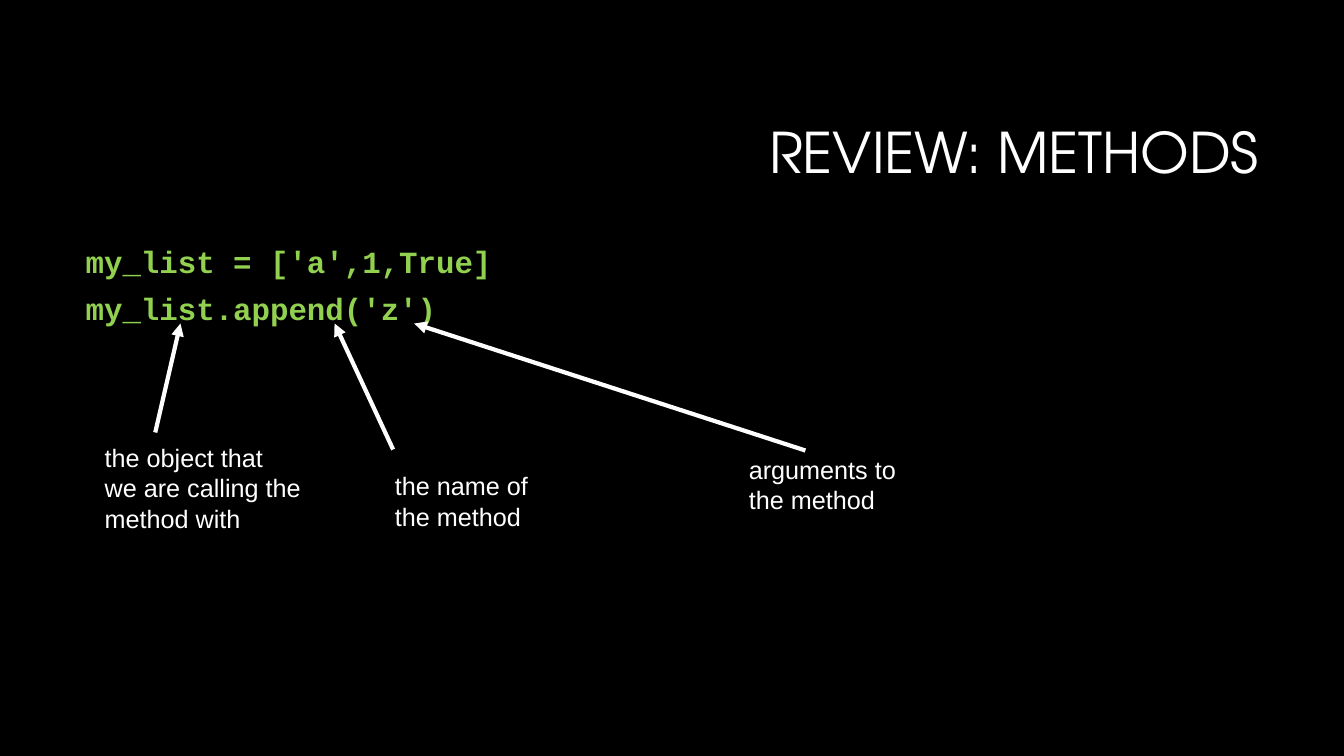
from lxml.etree import SubElement
from pptx import Presentation
from pptx.dml.color import RGBColor
from pptx.enum.shapes import MSO_CONNECTOR
from pptx.enum.text import MSO_ANCHOR, MSO_AUTO_SIZE, PP_ALIGN
from pptx.oxml.ns import qn
from pptx.util import Pt

BLACK = RGBColor(0x00, 0x00, 0x00)
WHITE = RGBColor(0xFF, 0xFF, 0xFF)
GREEN = RGBColor(0x92, 0xD0, 0x50)

CODE_LINES = ["my_list = ['a',1,True]", "my_list.append('z')"]
ARROW_TIP_Y = 231.1

# Label text, label box (left, top, width, height), arrow start, arrow tip x
ANNOTATIONS = [
    ("the object that\nwe are calling the\nmethod with",
     (67.7, 312.5, 156.2, 72.7), (110.9, 308.9), 128.9),
    ("the name of\nthe method",
     (275, 332.6, 115.2, 51.1), (280.8, 321.1), 239),
    ("arguments to\nthe method",
     (527.8, 321.1, 120.2, 51.1), (575.3, 321.8), 295.9),
]


def place(shape, left, top, width, height):
    shape.left, shape.top = Pt(left), Pt(top)
    shape.width, shape.height = Pt(width), Pt(height)


def format_runs(text_frame, font_name, size, color, bold=False):
    for paragraph in text_frame.paragraphs:
        for run in paragraph.runs:
            run.font.name = font_name
            run.font.size = Pt(size)
            run.font.bold = bold
            run.font.color.rgb = color


def fill_title(title, text):
    place(title, 228.2, 60.5, 678.2, 101.5)
    text_frame = title.text_frame
    text_frame.text = text
    text_frame.auto_size = MSO_AUTO_SIZE.NONE
    text_frame.vertical_anchor = MSO_ANCHOR.MIDDLE
    text_frame.paragraphs[0].alignment = PP_ALIGN.RIGHT
    text_frame.paragraphs[0].line_spacing = 0.9
    format_runs(text_frame, "TeX Gyre Adventor", 40, WHITE)


def fill_code(body, lines):
    place(body, 54, 172.8, 851.8, 316.8)
    text_frame = body.text_frame
    text_frame.text = "\n".join(lines)
    text_frame.auto_size = MSO_AUTO_SIZE.NONE
    text_frame.vertical_anchor = MSO_ANCHOR.TOP
    for paragraph in text_frame.paragraphs:
        paragraph.line_spacing = 0.9
        paragraph.space_before = Pt(10)
        # Hanging indent without a bullet
        properties = paragraph._p.get_or_add_pPr()
        properties.set("marL", str(Pt(18)))
        properties.set("indent", str(Pt(-18)))
        SubElement(properties, qn("a:buNone"))
    format_runs(text_frame, "Courier New", 22, GREEN, bold=True)


def add_label(slide, text, box):
    label = slide.shapes.add_textbox(*map(Pt, box))
    text_frame = label.text_frame
    text_frame.text = text
    text_frame.word_wrap = False
    text_frame.auto_size = MSO_AUTO_SIZE.SHAPE_TO_FIT_TEXT
    format_runs(text_frame, "Arial", 18, WHITE)


def add_arrow(slide, start, tip):
    arrow = slide.shapes.add_connector(
        MSO_CONNECTOR.STRAIGHT, *map(Pt, (*start, *tip)))
    arrow.line.color.rgb = WHITE
    arrow.line.width = Pt(3)
    SubElement(arrow.line._get_or_add_ln(), qn("a:tailEnd"), type="triangle")
    SubElement(arrow._element.spPr, qn("a:effectLst"))


def main():
    presentation = Presentation()
    presentation.slide_width, presentation.slide_height = Pt(960), Pt(540)
    slide = presentation.slides.add_slide(presentation.slide_layouts[1])
    slide.background.fill.solid()
    slide.background.fill.fore_color.rgb = BLACK

    # Title and code
    fill_title(slide.shapes.title, "REVIEW: METHODS")
    fill_code(slide.placeholders[1], CODE_LINES)

    # Labels with arrows to the parts of the call
    for text, box, start, tip_x in ANNOTATIONS:
        add_label(slide, text, box)
        add_arrow(slide, start, (tip_x, ARROW_TIP_Y))

    presentation.save("out.pptx")


if __name__ == "__main__":
    main()
